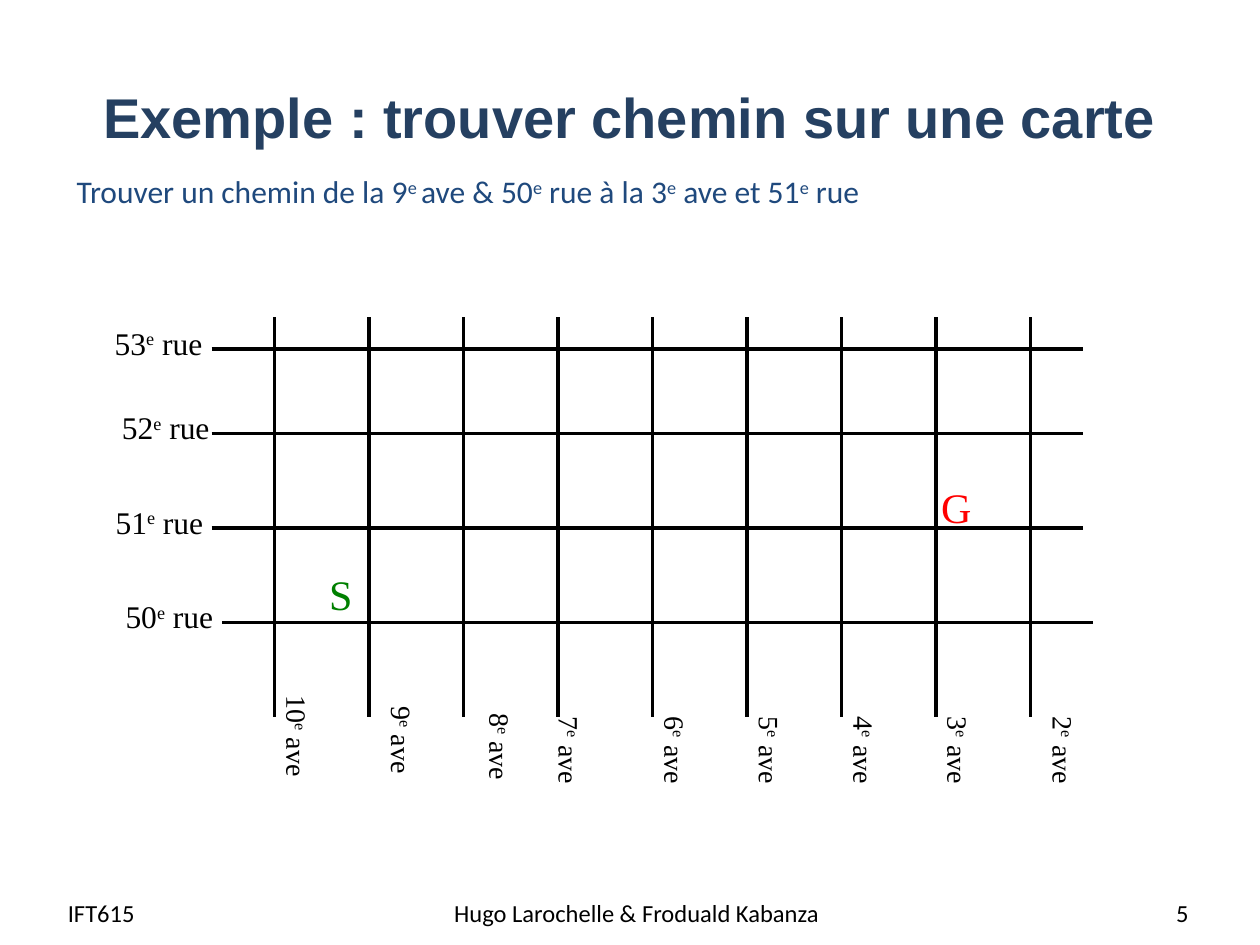
from collections import namedtuple

from lxml.etree import SubElement
from pptx import Presentation
from pptx.dml.color import RGBColor
from pptx.enum.shapes import MSO_CONNECTOR
from pptx.enum.text import MSO_ANCHOR as Anchor, PP_ALIGN as Align
from pptx.oxml.ns import qn
from pptx.util import Pt

Box = namedtuple("Box", "left top width height")

BLACK = RGBColor(0x00, 0x00, 0x00)
NAVY = RGBColor(0x25, 0x40, 0x61)
BLUE = RGBColor(0x1F, 0x49, 0x7D)
GREEN = RGBColor(0x00, 0x80, 0x00)
RED = RGBColor(0xFF, 0x00, 0x00)

SERIF = "Times New Roman"
SANS = "Calibri"

AVENUE_GAP = 54
STREETS = [
    ("53|e| rue", 18, 0, -30.4),
    ("52|e| rue", 66.3, 0, -26.3),
    ("51|e| rue", 120.3, 0, -29.9),
    ("50|e| rue", 174.3, 6, -24.2),
]
AVENUES = [
    ("10|e| ave", 12.9, 11.1),
    ("9|e| ave", 18.7, 13.3),
    ("8|e| ave", 20.8, 16.9),
    ("7|e| ave", 6.4, 19.1),
    ("6|e| ave", 12.9, 19.1),
    ("5|e| ave", 12.9, 19.1),
    ("4|e| ave", 12.9, 19.1),
    ("3|e| ave", 12.6, 19.1),
    ("2|e| ave", 18.7, 19.1),
]


def centred_box(x, y, width, height):
    """Return the box of the given size around a centre point."""
    return Box(x - width / 2, y - height / 2, width, height)


def add_text(slide, box, text, size, color=BLACK, font=SERIF,
             align=Align.CENTER, anchor=Anchor.TOP, wrap=False):
    """Add a text box; every second piece between bars is superscript."""
    shape = slide.shapes.add_textbox(*map(Pt, box))
    frame = shape.text_frame
    frame.word_wrap = wrap
    frame.vertical_anchor = anchor
    paragraph = frame.paragraphs[0]
    paragraph.alignment = align
    for index, piece in enumerate(text.split("|")):
        run = paragraph.add_run()
        run.text = piece
        run.font.name = font
        run.font.size = Pt(size)
        run.font.color.rgb = color
        if index % 2:
            run.font._element.set("baseline", "30000")
    return shape


def add_road(slide, x1, y1, x2, y2):
    """Draw one straight black road."""
    road = slide.shapes.add_connector(MSO_CONNECTOR.STRAIGHT, *map(Pt, (x1, y1, x2, y2)))
    road.line.color.rgb = BLACK
    road.line.width = Pt(2)
    SubElement(road._element.spPr, qn("a:effectLst"))


def add_heading(slide, box):
    """Fill the title and place the question under it."""
    title = slide.shapes.title
    title.left, title.top, title.width, title.height = map(Pt, box)
    title.text_frame.text = "Exemple : trouver chemin sur une carte"
    title.text_frame.vertical_anchor = Anchor.MIDDLE
    paragraph = title.text_frame.paragraphs[0]
    paragraph.alignment = Align.CENTER
    font = paragraph.runs[0].font
    font.name, font.size, font.bold = "Arial", Pt(32), True
    font.color.rgb = NAVY
    question = Box(box.left + 0.7, box.top + 73.4, 672, 29)
    add_text(slide, question,
             "Trouver un chemin de la 9|e |ave & 50|e| rue à la 3|e| ave et 51|e| rue",
             18, BLUE, SANS, Align.LEFT, wrap=True)


def add_street_map(slide, box):
    """Draw the grid of avenues and streets with its labels, start and goal."""
    bottom = box.top + box.height
    for index, (name, label_x, label_y) in enumerate(AVENUES):
        x = box.left + 36 + index * AVENUE_GAP
        add_road(slide, x, box.top, x, bottom)
        label = centred_box(x + label_x, bottom + label_y, 72, 26.6)
        add_text(slide, label, name, 16).rotation = 90
    for name, offset, shift, label_x in STREETS:
        x, y = box.left + shift, box.top + offset
        add_road(slide, x, y, x + box.width, y)
        label = centred_box(box.left + label_x, y - 3.6, 72, 28.8)
        add_text(slide, label, name, 18)
    for name, color, x, y in (("S", GREEN, 73.8, 157.7), ("G", RED, 425.5, 108)):
        mark = centred_box(box.left + x, box.top + y, 36, 36)
        add_text(slide, mark, name, 24, color)


def add_footer(slide, box):
    """Place the course, the authors and the page number along the bottom."""
    parts = [
        ("IFT615", 0, 139, Align.LEFT),
        ("Hugo Larochelle & Froduald Kabanza", 218, 228.3, Align.CENTER),
        ("5", box.width - 168, 168, Align.RIGHT),
    ]
    for text, offset, width, align in parts:
        part = Box(box.left + offset, box.top, width, box.height)
        add_text(slide, part, text, 14, BLACK, SANS, align, Anchor.MIDDLE, True)


def main():
    """Build the slide and save it."""
    presentation = Presentation()
    presentation.slide_width, presentation.slide_height = Pt(720), Pt(540)
    slide = presentation.slides.add_slide(presentation.slide_layouts[5])
    add_heading(slide, Box(36, 21.6, 648, 90))
    add_street_map(slide, Box(121, 181.4, 497.6, 228.3))
    add_footer(slide, Box(31.7, 506.9, 654.5, 28.8))
    presentation.save("out.pptx")


if __name__ == "__main__":
    main()
